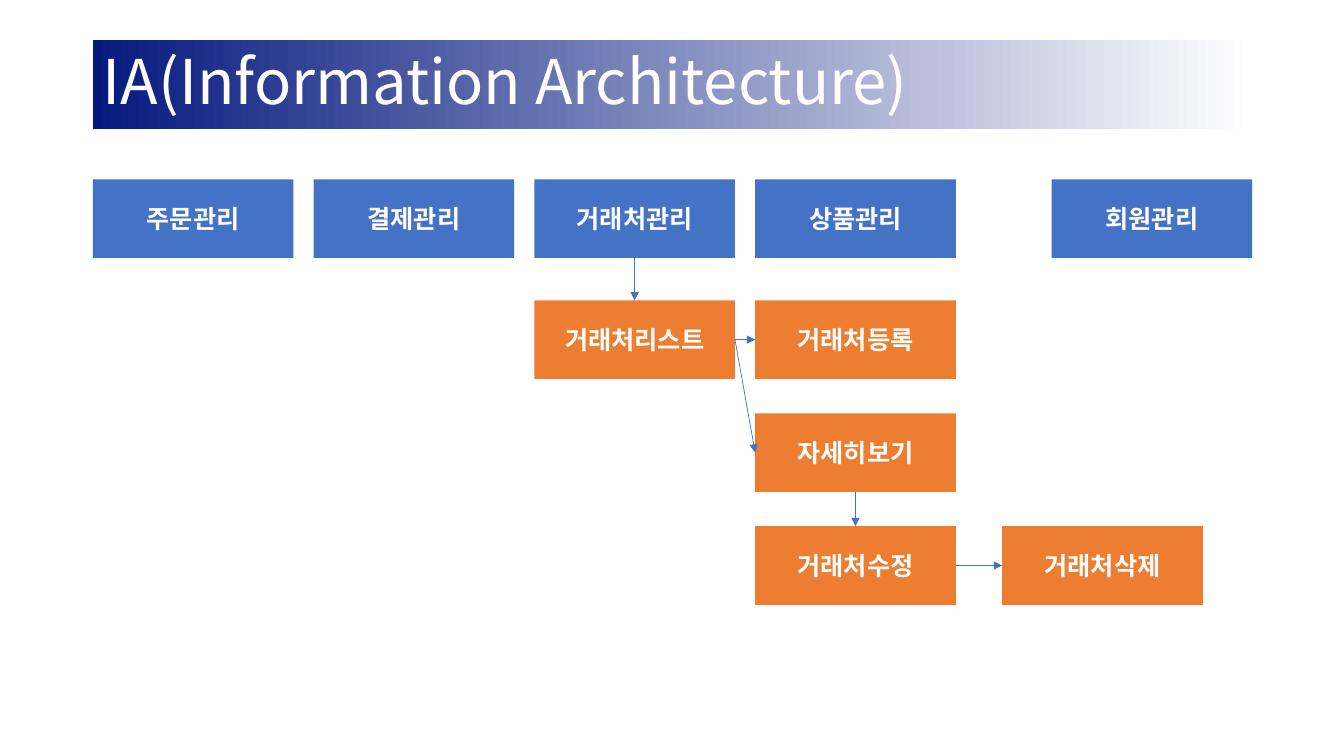
from lxml import etree
from pptx import Presentation
from pptx import util as u
from pptx.dml.color import RGBColor
from pptx.enum import shapes, text
from pptx.oxml import ns

BLUE, ORANGE, NAVY, WHITE = "4472C4", "ED7D31", "061A7E", "FFFFFF"
TOP, LEFT, BOTTOM, RIGHT = range(4)


def tint(color, value):
    """Set a colour format from a hex string."""
    color.rgb = RGBColor.from_string(value)


def write(frame, words, size=18, bold=False, color=WHITE, font="Noto Sans CJK KR",
          align=text.PP_ALIGN.CENTER, space=None):
    """Put one formatted paragraph in a text frame."""
    frame.word_wrap = True
    frame.auto_size = text.MSO_AUTO_SIZE.NONE
    frame.vertical_anchor = text.MSO_ANCHOR.MIDDLE
    para = frame.paragraphs[0]
    para.alignment = align
    para.line_spacing = space
    run = para.add_run()
    run.text = words
    run.font.size = u.Pt(size)
    run.font.bold = bold
    run.font.name = font
    tint(run.font.color, color)
    # Korean glyphs follow the East Asian font
    etree.SubElement(run._r.get_or_add_rPr(), ns.qn("a:ea"), typeface=font)


class Chart:
    """Style and slide of the site map."""
    wide, high = 1.99, 0.78

    def __init__(self, slide):
        self.slide = slide

    def title(self, words):
        bar = self.slide.shapes.title
        bar.left, bar.top = u.Inches(0.92), u.Inches(0.4)
        bar.width, bar.height = u.Inches(11.5), u.Inches(0.88)
        bar.fill.gradient()
        bar.fill.gradient_angle = 0
        for stop, color in zip(bar.fill.gradient_stops, (NAVY, WHITE)):
            tint(stop.color, color)
        write(bar.text_frame, words, size=44, align=text.PP_ALIGN.LEFT, space=0.9)

    def box(self, words, x, y, color=ORANGE):
        box = self.slide.shapes.add_shape(
            shapes.MSO_SHAPE.RECTANGLE, u.Inches(x), u.Inches(y),
            u.Inches(self.wide), u.Inches(self.high))
        box.shadow.inherit = False
        box.fill.solid()
        tint(box.fill.fore_color, color)
        box.line.fill.background()
        write(box.text_frame, words, bold=True)
        return box

    def arrow(self, start, out, end, into):
        """Join a side of one box to a side of another."""
        link = self.slide.shapes.add_connector(
            shapes.MSO_CONNECTOR.STRAIGHT, 0, 0, 0, 0)
        link.begin_connect(start, out)
        link.end_connect(end, into)
        link.line.width = u.Pt(0.5)
        tint(link.line.color, BLUE)
        props = link._element.spPr
        etree.SubElement(props.find(ns.qn("a:ln")), ns.qn("a:tailEnd"), type="triangle")
        etree.SubElement(props, ns.qn("a:effectLst"))


def main():
    deck = Presentation()
    deck.slide_width, deck.slide_height = u.Inches(13.33), u.Inches(7.5)
    chart = Chart(deck.slides.add_slide(deck.slide_layouts[5]))
    chart.title("IA(Information Architecture)")

    cols = [0.92 + 2.19 * i for i in range(4)]
    rows = [2.98 + 1.12 * i for i in range(3)]
    names = ["주문관리", "결제관리", "거래처관리", "상품관리", "회원관리"]
    menu = [chart.box(name, x, 1.78, BLUE) for name, x in zip(names, cols + [10.43])]

    roster = chart.box("거래처리스트", cols[2], rows[0])
    enroll, detail, edit = [
        chart.box(name, cols[3], y)
        for name, y in zip(["거래처등록", "자세히보기", "거래처수정"], rows)]
    delete = chart.box("거래처삭제", 9.94, rows[2])

    chart.arrow(menu[2], BOTTOM, roster, TOP)
    chart.arrow(roster, RIGHT, enroll, LEFT)
    chart.arrow(roster, RIGHT, detail, LEFT)
    chart.arrow(detail, BOTTOM, edit, TOP)
    chart.arrow(edit, RIGHT, delete, LEFT)
    deck.save("out.pptx")


if __name__ == "__main__":
    main()
